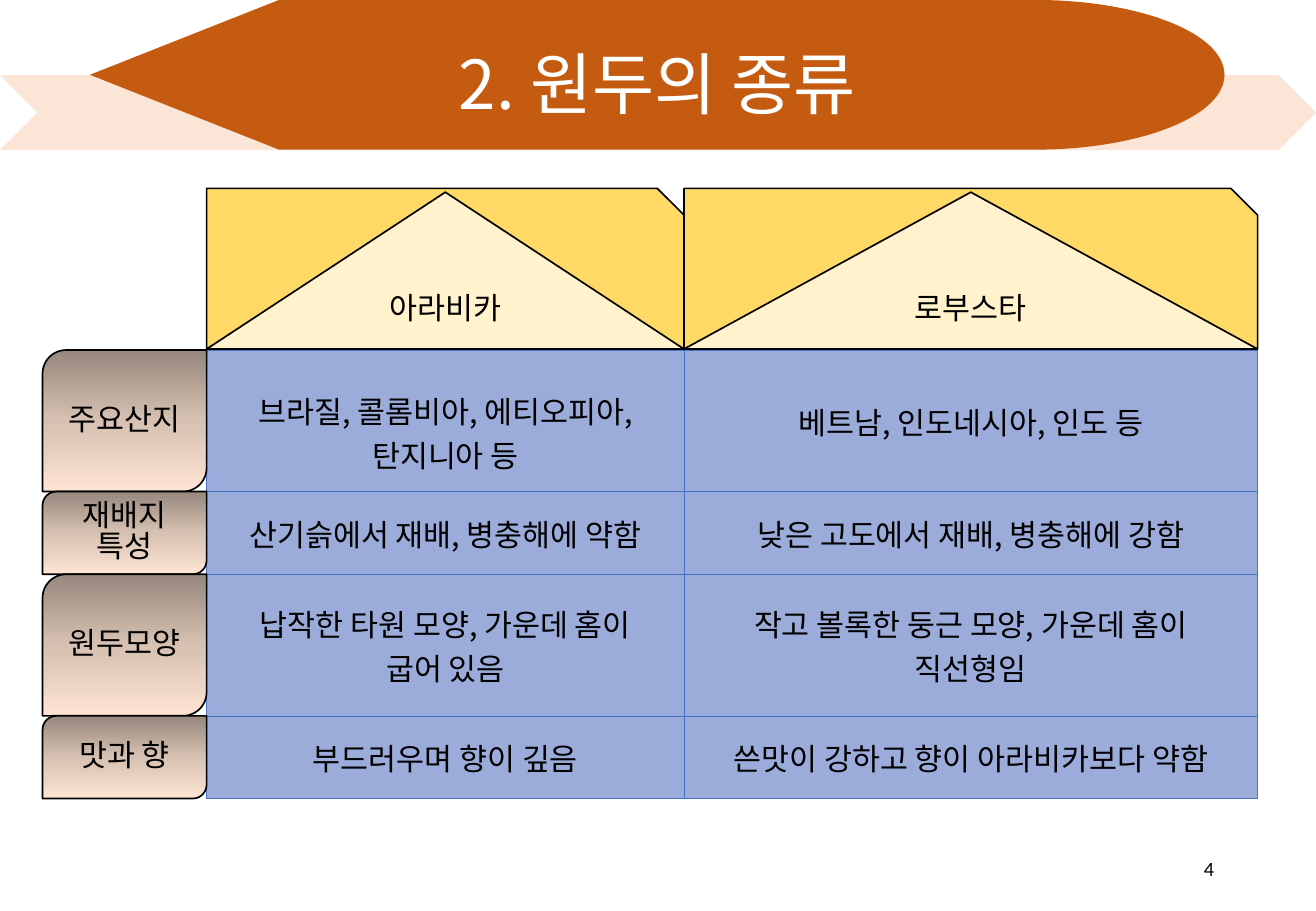
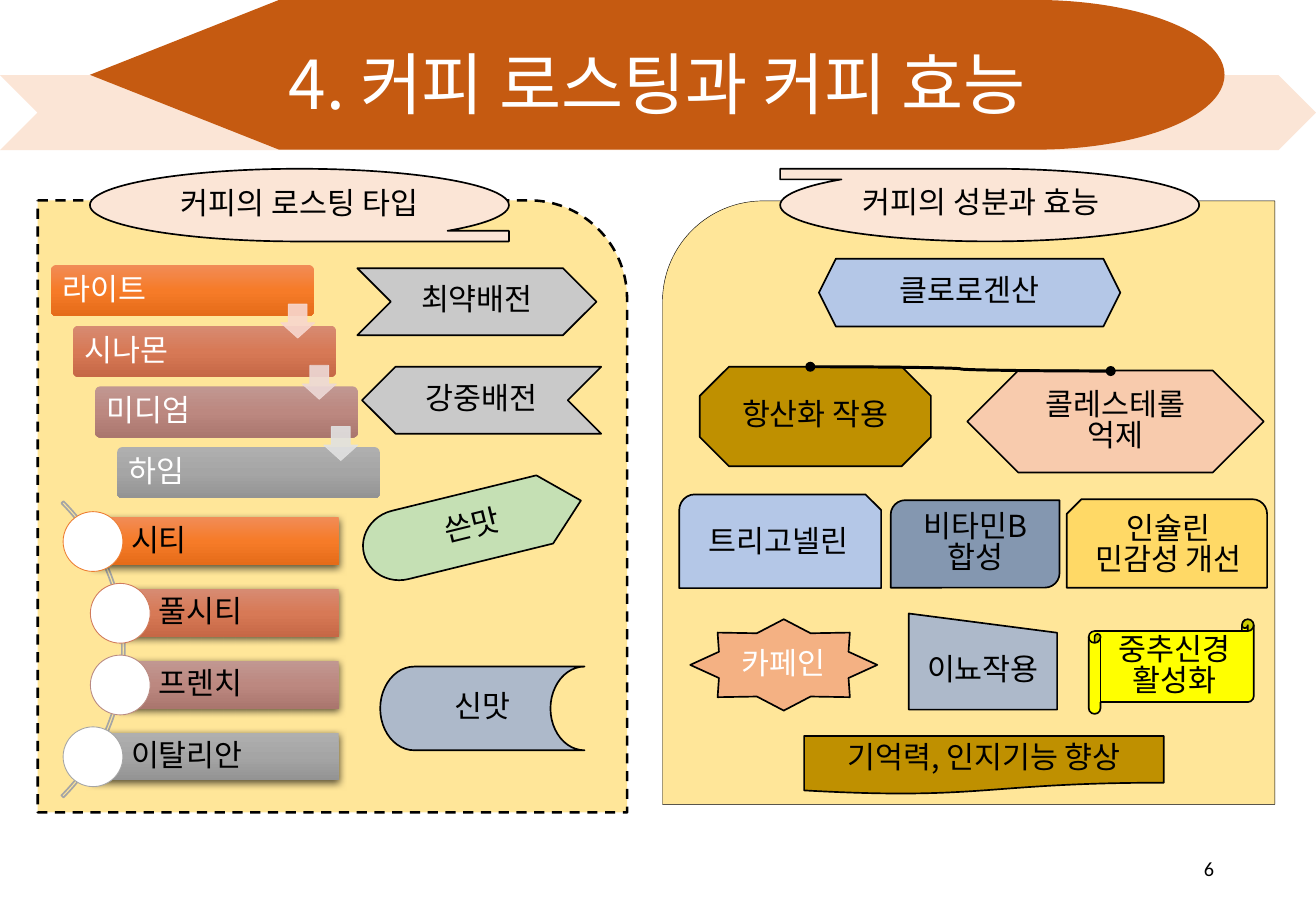
from copy import deepcopy

from lxml import etree
from pptx import Presentation
from pptx import util as u
from pptx.dml.color import RGBColor
from pptx.enum import dml, shapes, text
from pptx.oxml.ns import qn

KIND = shapes.MSO_SHAPE
SIDE = text.PP_ALIGN
SANS = "Noto Sans CJK KR"
BLACK, WHITE, PEACH, CREAM = "000000", "FFFFFF", "FBE5D6", "FFE699"
BROWN, GOLD, SKY, SLATE, GREY = "C55A11", "FFD966", "B4C7E7", "ADB9CA", "A5A5A5"
EARTH = ("97877D", "D6C1B2", "FEE4D3")
ROAST = [
    ("F18C57", "F67B28", "E56C19"),
    ("D78B72", "D77956", "C66846"),
    ("C19791", "BC8880", "AA766E"),
    ("AFAFAF", "A5A5A5", "939393"),
]


def paint(code):
    """Turn a hex string into a colour."""
    return RGBColor.from_string(code)


def add(parent, tag, **attrs):
    """Append a drawing element and return it."""
    return etree.SubElement(parent, qn(tag), {k: str(v) for k, v in attrs.items()})


def span(*sizes):
    """Turn centimetres into lengths."""
    return [u.Cm(s) for s in sizes]


def write(frame, words, ink=BLACK, size=18, font=SANS, side=SIDE.CENTER, gap=None):
    """Fill a text frame and format its runs."""
    frame.text = words
    frame.word_wrap = True
    frame.vertical_anchor = text.MSO_ANCHOR.MIDDLE
    for para in frame.paragraphs:
        para.alignment = side
        para.line_spacing = gap
        for run in para.runs:
            run.font.size = u.Pt(size)
            run.font.name = font
            run.font.color.rgb = paint(ink)
            add(run.font._element, "a:ea", typeface=font)


def shade(shape, tones):
    """Fill a shape with a three-stop gradient from top to bottom."""
    fill = shape.fill
    fill.gradient()
    fill.gradient_angle = 270
    stops = shape.element.spPr.find(".//" + qn("a:gsLst"))
    stops.insert(1, deepcopy(stops[0]))
    for stop, place, tone in zip(fill.gradient_stops, (0, 0.5, 1), tones):
        stop.position = place
        stop.color.rgb = paint(tone)


def box(slide, kind, at, fill, words="", ink=BLACK, edge=BLACK, thick=1, flip=""):
    """Draw a preset shape with a fill, an outline and centred text."""
    shape = slide.shapes.add_shape(kind, *span(*at))
    shape.shadow.inherit = False
    if fill is None:
        shape.fill.background()
    elif isinstance(fill, tuple):
        shade(shape, fill)
    else:
        shape.fill.solid()
        shape.fill.fore_color.rgb = paint(fill)
    if edge:
        shape.line.color.rgb = paint(edge)
        shape.line.width = u.Pt(thick)
    else:
        shape.line.fill.background()
    for axis in flip:
        shape.element.spPr.find(qn("a:xfrm")).set("flip" + axis, "1")
    if words:
        write(shape.text_frame, words, ink, gap=0.85)
    return shape


def adjust(shape, *values):
    """Set the adjustment values of a shape."""
    for i, value in enumerate(values):
        shape.adjustments[i] = value


def bar(slide, kind, at, tones, words, ink, inset):
    """Draw a shaded bar with text on the left."""
    shape = box(slide, kind, at, tones, edge=None)
    frame = shape.text_frame
    write(frame, words, ink, side=SIDE.LEFT, gap=0.9)
    frame.margin_left = u.Cm(inset)
    frame.margin_top = frame.margin_bottom = u.Cm(0.12)
    return shape


def note(slide, at, words, **style):
    """Place a text box."""
    write(slide.shapes.add_textbox(*span(*at)).text_frame, words, **style)


def dress(layout, slide):
    """Put the title bands and the title place on the layout."""
    bands = [
        box(slide, KIND.CHEVRON, (0, 1.57, 27.51, 1.57), PEACH, edge=None),
        box(slide, KIND.FLOWCHART_DISPLAY, (1.88, 0, 23.72, 3.13), BROWN, edge=None),
    ]
    for i, band in enumerate(bands):
        band.element.nvSpPr.cNvPr.set("id", str(20 + i))
        layout.shapes.element.insert(2 + i, band.element)
    title = layout.placeholders[0]
    title.left, title.top, title.width, title.height = span(1.88, 0, 23.72, 3.68)


def head(slide, words, number):
    """Write the slide's title and number."""
    write(slide.shapes.title.text_frame, words, WHITE, 40, gap=0.9)
    note(slide, (19.43, 17.65, 6.2, 1.02), number, size=12, font="Calibri", side=SIDE.RIGHT)


def cell_style(cell):
    """Give a table cell its borders and fill."""
    props = cell._tc.get_or_add_tcPr()
    for edge in "LRTB":
        line = add(props, "a:ln" + edge, w=6350)
        add(add(line, "a:solidFill"), "a:srgbClr", val="4472C4")
    cell.fill.solid()
    cell.fill.fore_color.rgb = paint("9BABDA")


def beans(slide):
    """Draw the comparison of the two kinds of bean."""
    left, top, cols, rows = 4.32, 7.32, (9.98, 11.99), (2.96, 1.73, 2.96, 1.73)
    facts = [
        ("주요산지", "브라질, 콜롬비아, 에티오피아,\n탄지니아 등", "베트남, 인도네시아, 인도 등"),
        ("재배지\n특성", "산기슭에서 재배, 병충해에 약함", "낮은 고도에서 재배, 병충해에 강함"),
        ("원두모양", "납작한 타원 모양, 가운데 홈이\n굽어 있음", "작고 볼록한 둥근 모양, 가운데 홈이\n직선형임"),
        ("맛과 향", "부드러우며 향이 깊음", "쓴맛이 강하고 향이 아라비카보다 약함"),
    ]
    at = span(left, top, sum(cols), sum(rows))
    table = slide.shapes.add_table(len(rows), len(cols), *at).table
    table.first_row = table.horz_banding = False
    for i, (tall, (label, *words)) in enumerate(zip(rows, facts)):
        table.rows[i].height = u.Cm(tall)
        for j, fact in enumerate(words):
            cell = table.cell(i, j)
            write(cell.text_frame, fact)
            cell.vertical_anchor = text.MSO_ANCHOR.MIDDLE
            cell_style(cell)
        place = (0.89, top + sum(rows[:i]), 3.43, tall)
        box(slide, KIND.ROUND_2_DIAG_RECTANGLE, place, EARTH, label)
    table.cell(0, 0).text_frame.paragraphs[0].line_spacing = 1.5
    for i, (wide, name) in enumerate(zip(cols, ("아라비카", "로부스타"))):
        table.columns[i].width = u.Cm(wide)
        x = left + sum(cols[:i])
        box(slide, KIND.SNIP_1_RECTANGLE, (x, 3.94, wide, 3.35), GOLD)
        box(slide, KIND.ISOSCELES_TRIANGLE, (x, 4.02, wide, 3.28), "FFF2CC", name)


def steps(slide):
    """Draw the falling steps of the lighter roasts."""
    for i, (name, tones) in enumerate(zip(("라이트", "시나몬", "미디엄", "하임"), ROAST)):
        at = (1.07 + 0.46 * i, 5.54 + 1.27 * i, 5.49, 1.07)
        adjust(bar(slide, KIND.ROUNDED_RECTANGLE, at, tones, name, WHITE, 0.2), 0.1)
    for i, tone in enumerate(("F8D7CE", "EDD9D7", "E1E1E1")):
        at = (5.87 + 0.45 * i, 6.36 + 1.28 * i, 0.71, 0.71)
        arrow = box(slide, KIND.DOWN_ARROW, at, tone, edge=tone, thick=0.5)
        adjust(arrow, 0.55, 0.45)
        for color in arrow.element.spPr.iter(qn("a:srgbClr")):
            add(color, "a:alpha", val=90000)


def drop(shape):
    """Give a shape a soft shadow below it."""
    effects = shape.element.spPr.find(qn("a:effectLst"))
    shadow = add(effects, "a:outerShdw", blurRad=57150, dist=19050, dir=5400000, algn="ctr", rotWithShape=0)
    add(add(shadow, "a:srgbClr", val=BLACK), "a:alpha", val=63000)


def arc(slide):
    """Draw the darker roasts along an arc."""
    curve = box(slide, KIND.BLOCK_ARC, (-6.15, 9.2, 8.76, 8.76), None, edge=GREY)
    adjust(curve, 189, 27, 0.007)
    names = ("시티", "풀시티", "프렌치", "이탈리안")
    rings = ("ED7D31", "D17B5C", "B98A82", GREY)
    for i, (name, tones, ring) in enumerate(zip(names, ROAST, rings)):
        x, y = 2.52 if i in (1, 2) else 1.95, 10.82 + 1.5 * i
        drop(bar(slide, KIND.RECTANGLE, (x, y, 7.08 - x, 1), tones, name, BLACK, 0.79))
        box(slide, KIND.OVAL, (x - 0.63, y - 0.12, 1.25, 1.25), WHITE, edge=ring, thick=0.5)


def roasts(slide):
    """Draw the panel of roasting types."""
    panel = box(slide, KIND.ROUND_1_RECTANGLE, (0.79, 4.19, 12.32, 12.8), CREAM, thick=1.5)
    panel.line.dash_style = dml.MSO_LINE.DASH
    tape = KIND.FLOWCHART_SEQUENTIAL_ACCESS_STORAGE
    box(slide, tape, (1.88, 3.53, 8.76, 1.52), PEACH, "커피의 로스팅 타입")
    box(slide, KIND.CHEVRON, (7.47, 5.61, 5, 1.4), "C9C9C9", "최약배전")
    box(slide, KIND.CHEVRON, (7.57, 7.67, 5, 1.4), "C9C9C9", "강중배전", flip="H")
    bitter = box(slide, KIND.FLOWCHART_DISPLAY, (7.54, 10.29, 4.67, 1.47), "C5E0B4", "쓴맛", flip="H")
    bitter.rotation = 346.2
    box(slide, KIND.FLOWCHART_STORED_DATA, (7.95, 13.94, 4.27, 1.75), SLATE, "신맛")
    steps(slide)
    arc(slide)


def link(slide, start, end):
    """Draw a curved line with a dot at each end."""
    wire = slide.shapes.add_connector(shapes.MSO_CONNECTOR.CURVE, *span(*start, *end))
    wire.line.color.rgb = paint(BLACK)
    wire.line.width = u.Pt(1.75)
    props = wire.element.spPr
    for tag in ("a:headEnd", "a:tailEnd"):
        add(props.find(qn("a:ln")), tag, type="oval")
    add(props, "a:effectLst")


def effects(slide):
    """Draw the panel of components and their effects."""
    panel = box(slide, KIND.ROUND_1_RECTANGLE, (13.94, 4.11, 12.62, 12.8), CREAM, thick=0.25)
    panel.rotation = 270
    tape = KIND.FLOWCHART_SEQUENTIAL_ACCESS_STORAGE
    box(slide, tape, (16.31, 3.53, 8.76, 1.52), PEACH, flip="HV")
    note(slide, (17.78, 3.71, 6.05, 1.02), "커피의 성분과 효능", side=SIDE.LEFT)
    box(slide, KIND.HEXAGON, (17.12, 5.41, 6.3, 1.42), SKY, "클로로겐산")
    box(slide, KIND.OCTAGON, (14.63, 7.67, 4.83, 2.08), "BF9000", "항산화 작용")
    lower = box(slide, KIND.LEFT_RIGHT_ARROW, (20.22, 7.75, 6.2, 2.13), "F8CBAD", "콜레스테롤\n억제")
    adjust(lower, 1, 0.5)
    box(slide, KIND.SNIP_ROUND_RECTANGLE, (14.2, 10.34, 4.22, 1.96), SKY, "트리고넬린")
    box(slide, KIND.ROUND_2_DIAG_RECTANGLE, (18.62, 10.46, 3.53, 1.83), "8497B0", "비타민B\n합성")
    box(slide, KIND.SNIP_ROUND_RECTANGLE, (22.3, 10.44, 4.19, 1.85), GOLD, "인슐린\n민감성 개선", flip="H")
    box(slide, KIND.STAR_8_POINT, (14.43, 12.95, 3.91, 1.91), "F4B183", "카페인", WHITE)
    box(slide, KIND.FLOWCHART_MANUAL_INPUT, (19, 12.83, 3.1, 2.01), SLATE, "이뇨작용", flip="H")
    box(slide, KIND.HORIZONTAL_SCROLL, (22.76, 12.95, 3.45, 1.98), "FFFF00", "중추신경\n활성화")
    box(slide, KIND.FLOWCHART_DOCUMENT, (16.81, 15.39, 7.52, 1.22), "BF9000", "기억력, 인지기능 향상")
    link(slide, (16.94, 7.67), (23.22, 7.76))


def main():
    """Build the deck and save it."""
    deck = Presentation()
    deck.slide_width, deck.slide_height = span(27.51, 19.05)
    layout = deck.slide_layouts[5]
    first, second = (deck.slides.add_slide(layout) for _ in range(2))
    dress(layout, first)
    head(first, "2. 원두의 종류", "4")
    beans(first)
    head(second, "4. 커피 로스팅과 커피 효능", "6")
    effects(second)
    roasts(second)
    deck.save("out.pptx")


if __name__ == "__main__":
    main()
